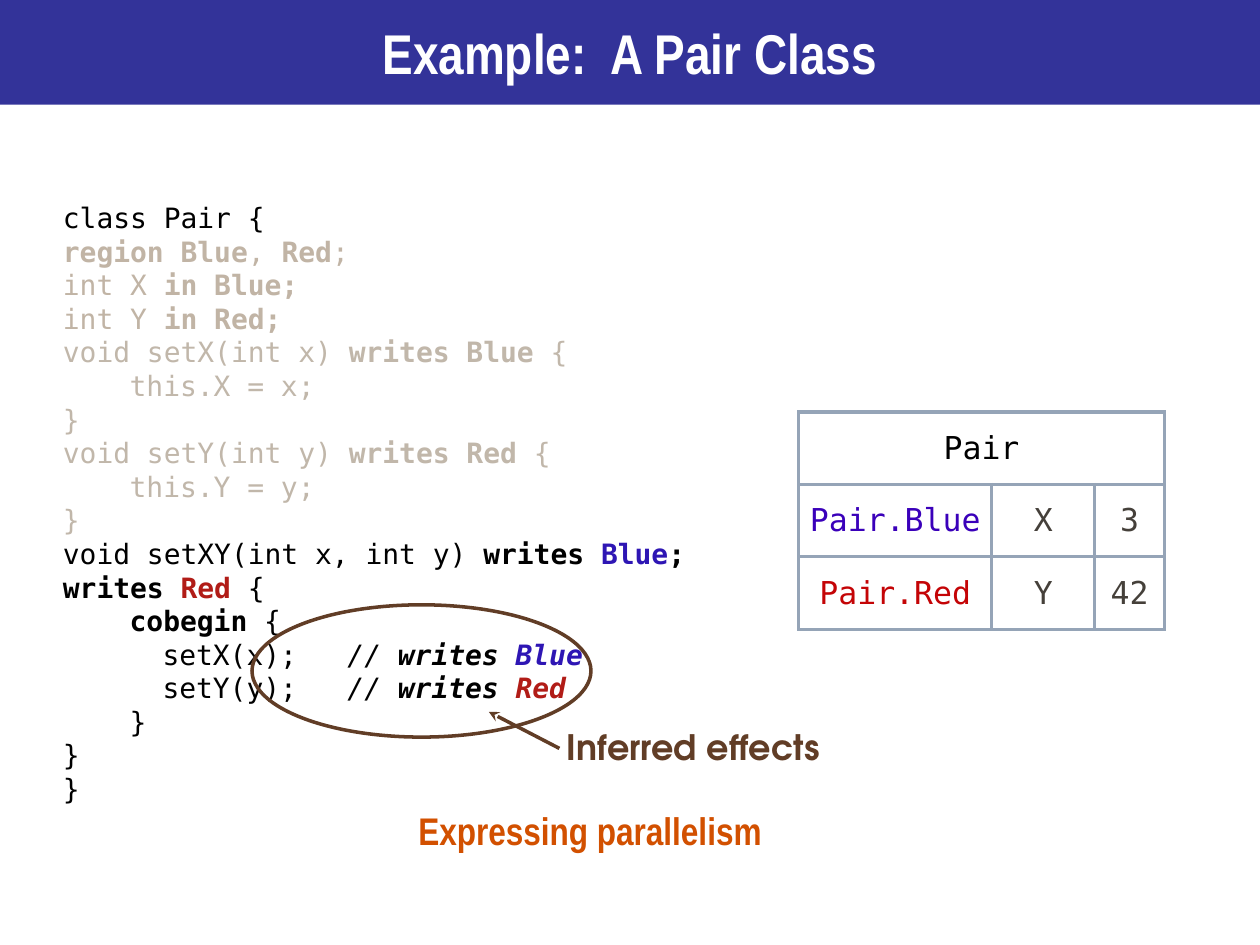
from dataclasses import dataclass

from lxml import etree
from pptx import Presentation
from pptx.dml.color import RGBColor
from pptx.enum.shapes import MSO_CONNECTOR, MSO_SHAPE
from pptx.enum.text import MSO_ANCHOR, MSO_AUTO_SIZE, PP_ALIGN
from pptx.oxml.ns import qn
from pptx.util import Inches, Pt

MIDDLE, BOTTOM = MSO_ANCHOR.MIDDLE, MSO_ANCHOR.BOTTOM
LEFT, CENTER = PP_ALIGN.LEFT, PP_ALIGN.CENTER
NO_AUTOFIT = MSO_AUTO_SIZE.NONE
OVAL, STRAIGHT = MSO_SHAPE.OVAL, MSO_CONNECTOR.STRAIGHT

NARROW, MONO, ROUND = "Arial Narrow", "DejaVu Sans Mono", "TeX Gyre Adventor"
BLACK, WHITE, NAVY, ORANGE = "000000", "FFFFFF", "333399", "D25000"
TAN, FADED, BLUE, RED = "C1B4A5", "C1B7AA", "2E16B4", "B11C17"
BROWN, GRID, VALUE = "613D26", "95A4B7", "45403A"
INDENTS = (0, 0.53, 0.79)


@dataclass
class Span:
    text: str
    color: str = BLACK
    bold: bool = False
    italic: bool = False


@dataclass
class Line:
    spans: list[Span]
    level: int = 0


@dataclass
class Entry:
    text: str
    color: str


def rgb(value: str) -> RGBColor:
    return RGBColor.from_string(value)


def format_run(r, font: str, size: float, color: str, bold=False, italic=False) -> None:
    r.font.name = font
    r.font.size = Pt(size)
    r.font.color.rgb = rgb(color)
    r.font.bold = bold
    r.font.italic = italic


def add_box(slide, x: float, y: float, w: float, h: float, anchor, wrap=True):
    sp = slide.shapes.add_textbox(Inches(x), Inches(y), Inches(w), Inches(h))
    tf = sp.text_frame
    tf.margin_left = tf.margin_right = tf.margin_top = tf.margin_bottom = 0
    tf.vertical_anchor = anchor
    tf.word_wrap = wrap
    return tf


def set_text(tf, text: str, font: str, size: float, color: str, bold=True, align=LEFT) -> None:
    tf.text = text
    p = tf.paragraphs[0]
    p.alignment = align
    format_run(p.runs[0], font, size, color, bold)


def add_title(slide) -> None:
    sp = slide.shapes.title
    sp.left, sp.top, sp.width, sp.height = 0, 0, Inches(10), Inches(0.83)
    sp.fill.solid()
    sp.fill.fore_color.rgb = rgb(NAVY)
    tf = sp.text_frame
    tf.auto_size = NO_AUTOFIT
    tf.vertical_anchor = MIDDLE
    set_text(tf, "Example:  A Pair Class", NARROW, 32, WHITE, align=CENTER)


def setter(name: str, region: str) -> list[Line]:
    return [
        Line([Span(f"void set{name}(int {name.lower()}) ", FADED),
              Span(f"writes {region} ", FADED, True), Span("{", FADED)]),
        Line([Span(f"this.{name} = {name.lower()};", FADED)], 1),
        Line([Span("}", FADED)]),
    ]


def task(call: str, region: str, color: str) -> Line:
    return Line([Span(f"{call};   "), Span("// ", italic=True),
                 Span("writes ", bold=True, italic=True),
                 Span(region, color, True, True)], 2)


def field(name: str, region: str) -> Line:
    return Line([Span(f"int {name} ", TAN), Span(f"in {region};", TAN, True)])


def add_code(slide, lines: list[Line]) -> None:
    tf = add_box(slide, 0.5, 1.64, 5.84, 4.75, BOTTOM)
    for i, line in enumerate(lines):
        p = tf.add_paragraph() if i else tf.paragraphs[0]
        p.level = line.level
        p.line_spacing = Pt(19.2)
        pPr = p._p.get_or_add_pPr()
        pPr.set("marL", str(Inches(INDENTS[line.level])))
        pPr.set("indent", "0")
        for span in line.spans:
            r = p.add_run()
            r.text = span.text
            format_run(r, MONO, 16, span.color, span.bold, span.italic)


def set_borders(cell) -> None:
    tcPr = cell._tc.get_or_add_tcPr()
    for side in ("lnL", "lnR", "lnT", "lnB"):
        ln = etree.SubElement(tcPr, qn(f"a:{side}"), w=str(Pt(2)))
        fill = etree.SubElement(ln, qn("a:solidFill"))
        etree.SubElement(fill, qn("a:srgbClr"), val=GRID)


def add_memory_table(slide, rows: list[list[Entry]]) -> None:
    widths, height = (1.53, 0.82, 0.55), 0.575
    frame = slide.shapes.add_table(len(rows), len(widths), Inches(6.34), Inches(3.27),
                                   Inches(sum(widths)), Inches(height * len(rows)))
    table = frame.table
    table.first_row = table.horz_banding = False
    for column, width in zip(table.columns, widths):
        column.width = Inches(width)
    for row in table.rows:
        row.height = Inches(height)
    for cell in table.iter_cells():
        set_borders(cell)
        cell.fill.background()
    table.cell(0, 0).merge(table.cell(0, len(widths) - 1))
    for i, entries in enumerate(rows):
        for j, entry in enumerate(entries):
            cell = table.cell(i, j)
            cell.margin_left = cell.margin_right = Inches(0.04)
            cell.margin_top = cell.margin_bottom = Inches(0.04)
            cell.vertical_anchor = MIDDLE
            set_text(cell.text_frame, entry.text, MONO, 18, entry.color, False, CENTER)


def add_callout(slide) -> None:
    sp = slide.shapes.add_shape(OVAL, Inches(2), Inches(4.8), Inches(2.69), Inches(1.05))
    sp.shadow.inherit = False
    sp.fill.background()
    arrow = slide.shapes.add_connector(STRAIGHT, Inches(3.88), Inches(5.65),
                                       Inches(4.44), Inches(5.94))
    for shape in (sp, arrow):
        shape.line.color.rgb = rgb(BROWN)
        shape.line.width = Pt(2)
    etree.SubElement(arrow.line._get_or_add_ln(), qn("a:headEnd"), type="stealth")
    etree.SubElement(arrow._element.spPr, qn("a:effectLst"))
    label = add_box(slide, 4.5, 5.53, 3.6, 0.79, MIDDLE)
    set_text(label, "Inferred effects", ROUND, 20, BROWN)


def main() -> None:
    prs = Presentation()
    prs.slide_width, prs.slide_height = Inches(10), Inches(7.5)
    slide = prs.slides.add_slide(prs.slide_layouts[5])
    add_title(slide)
    caption = add_box(slide, 3.32, 6.4, 2.75, 0.37, BOTTOM, wrap=False)
    set_text(caption, "Expressing parallelism", NARROW, 22, ORANGE)
    add_code(slide, [
        Line([Span("class Pair {")]),
        Line([Span("region Blue", TAN, True), Span(", ", TAN),
              Span("Red", TAN, True), Span(";", TAN)]),
        field("X", "Blue"),
        field("Y", "Red"),
        *setter("X", "Blue"),
        *setter("Y", "Red"),
        Line([Span("void setXY(int x, int y) "), Span("writes ", bold=True),
              Span("Blue", BLUE, True), Span("; writes ", bold=True),
              Span("Red ", RED, True), Span("{")]),
        Line([Span("cobegin", bold=True), Span(" {")], 1),
        task("setX(x)", "Blue", BLUE),
        task("setY(y)", "Red", RED),
        Line([Span("}")], 1),
        Line([Span("}")]),
        Line([Span("}")]),
    ])
    add_memory_table(slide, [
        [Entry("Pair", BLACK)],
        [Entry("Pair.Blue", "3A00BA"), Entry("X", VALUE), Entry("3", VALUE)],
        [Entry("Pair.Red", "C40406"), Entry("Y", VALUE), Entry("42", VALUE)],
    ])
    add_callout(slide)
    prs.save("out.pptx")


if __name__ == "__main__":
    main()
